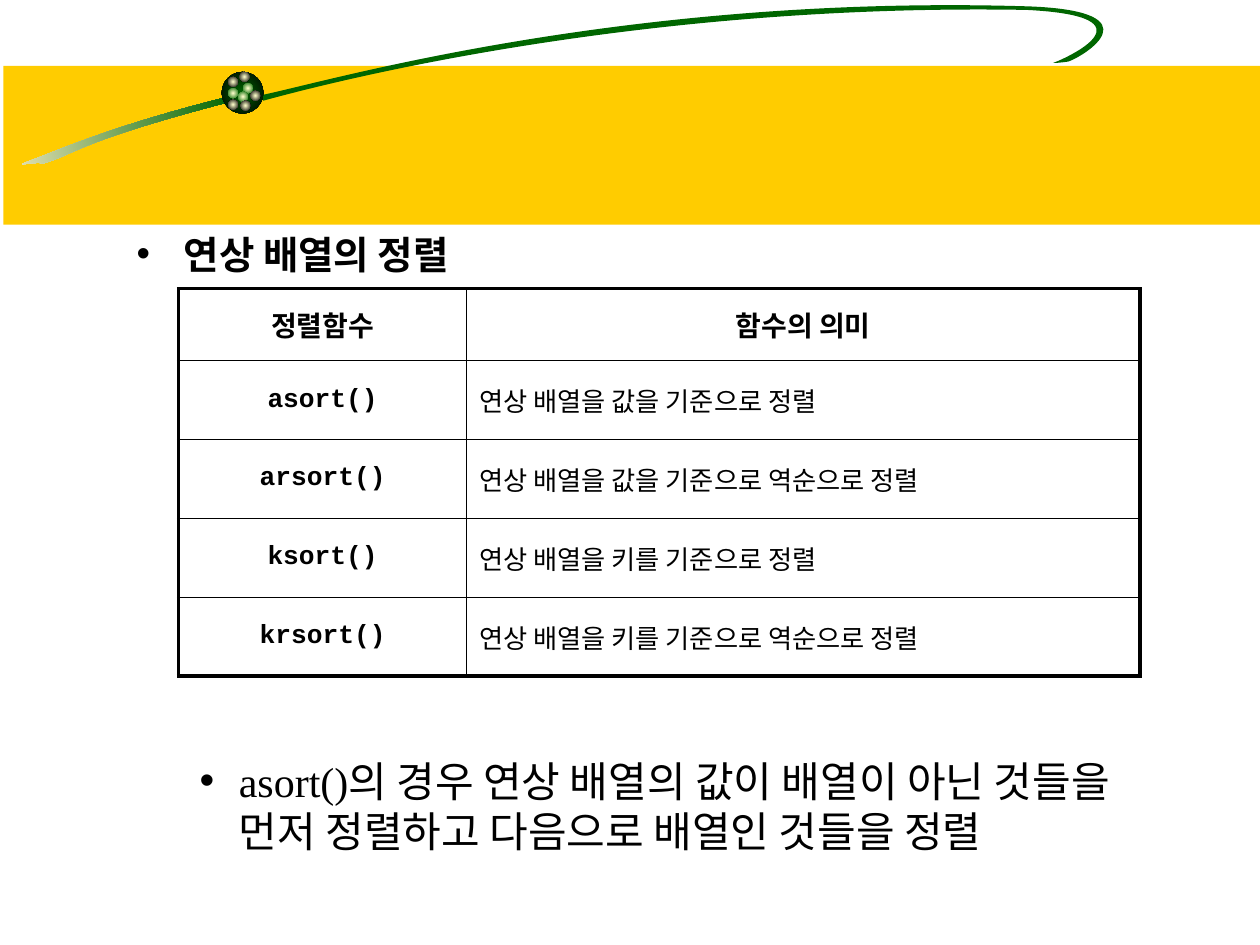
from dataclasses import dataclass
from math import cos, radians, sin
from lxml.etree import SubElement
from pptx import Presentation
from pptx.dml.color import RGBColor
from pptx.enum.shapes import MSO_SHAPE
from pptx.enum.text import MSO_ANCHOR, MSO_AUTO_SIZE, PP_ALIGN
from pptx.oxml import parse_xml
from pptx.oxml.ns import nsdecls, qn
from pptx.util import Cm, Pt

BLACK, WHITE, GREEN, CREAM, GOLD = "000000", "FFFFFF", "006600", "FFFFCC", "FFCC00"
SERIF, MONO = "Times New Roman", "Courier New"
TILT = 9


@dataclass
class Bead:
    x: float
    y: float
    rim: str = BLACK
    core: str = CREAM
    size: float = 0.2


@dataclass
class Curve:
    box: tuple
    start: tuple
    bends: list


BEADS = [
    Bead(4.47, 1.45, core=GREEN, size=0.84),
    Bead(4.9, 1.68, GREEN), Bead(4.6, 1.55), Bead(4.6, 1.78, GREEN),
    Bead(4.8, 1.85, GREEN), Bead(5.05, 1.83), Bead(4.85, 2.03),
    Bead(4.6, 2.01), Bead(4.83, 1.45),
]
TAIL = Curve((0, 2.31, 4.67, 0.76), (4.57, 1.96), [
    ((2.36, 2.51), (1.32, 2.97), (0.71, 3.2)),
    ((0.08, 3.43), (0.74, 3.23), (0.86, 3.3)),
    ((1.5, 3.12), (1.52, 2.87), (4.6, 2.06)),
    ((4.6, 2.06), (4.57, 1.96), (4.57, 1.96)),
])
SWOOSH = Curve((5.18, -0.38), (5.21, 1.93), [
    ((6.32, 1.73), (12.42, -0.13), (20.75, 0.13)),
    ((23.34, 0.23), (21.84, 1.14), (21.54, 1.24)),
    ((21.54, 1.24), (21.36, 1.27), (21.23, 1.27)),
    ((21.51, 1.17), (23.34, 0.33), (20.7, 0.2)),
    ((13.97, 0.08), (8.2, 1.24), (5.31, 2.03)),
    ((5.31, 2.03), (5.21, 1.93), (5.21, 1.93)),
])
SWOOSH.box += (18.19, 2.77)
ROWS = [
    ("정렬함수", "함수의 의미"),
    ("asort()", "연상 배열을 값을 기준으로 정렬"),
    ("arsort()", "연상 배열을 값을 기준으로 역순으로 정렬"),
    ("ksort()", "연상 배열을 키를 기준으로 정렬"),
    ("krsort()", "연상 배열을 키를 기준으로 역순으로 정렬"),
]


def color(code: str) -> RGBColor:
    """Turn a hex string into a colour."""
    return RGBColor.from_string(code)


def write(para, text: str, size=15, font=SERIF, bold=False, align=PP_ALIGN.LEFT,
          level=0, before=0, left=None, hang=0.0) -> None:
    """Fill a paragraph; a left indent gives it a bullet."""
    para.alignment, para.level, para.space_before = align, level, Pt(before)
    run = para.add_run()
    run.text = text
    run.font.size, run.font.name, run.font.bold = Pt(size), font, bold
    run.font.color.rgb = color(BLACK)
    if left is not None:
        props = para._p.get_or_add_pPr()
        props.set("marL", str(Cm(left)))
        props.set("indent", str(-Cm(hang)))
        SubElement(props, qn("a:buChar")).set("char", "•")


def paint(shape, code: str) -> None:
    """Give a shape a plain fill without line or shadow."""
    shape.shadow.inherit = False
    shape.line.fill.background()
    shape.fill.solid()
    shape.fill.fore_color.rgb = color(code)


def blend(shape, first: str, last: str, round: bool = False) -> None:
    """Replace a plain fill by a linear or circular gradient."""
    paint(shape, first)
    way = ('<a:path path="circle"><a:fillToRect l="50000" t="50000" r="50000" '
           'b="50000"/></a:path>' if round else '<a:lin ang="0" scaled="1"/>')
    stops = "".join(f'<a:gs pos="{pos}"><a:srgbClr val="{code}"/></a:gs>'
                    for pos, code in ((0, first), (100000, last)))
    props = shape._element.spPr
    props.replace(props.find(qn("a:solidFill")), parse_xml(
        f'<a:gradFill {nsdecls("a")} rotWithShape="1"><a:gsLst>{stops}</a:gsLst>{way}</a:gradFill>'))


def block(slide, kind, x: float, y: float, wide: float, high: float):
    """Add a preset shape."""
    return slide.shapes.add_shape(kind, Cm(x), Cm(y), Cm(wide), Cm(high))


def trace(slide, curve: Curve):
    """Draw a closed outline of cubic bends in a tilted frame."""
    x, y, wide, high = curve.box
    c, s = cos(radians(TILT)), sin(radians(TILT))

    def spot(point: tuple) -> str:
        """Place a slide point inside the frame."""
        a, b = point[0] - x - wide / 2, point[1] - y - high / 2
        return (f'<a:pt x="{Cm(a * c - b * s + wide / 2)}" '
                f'y="{Cm(a * s + b * c + high / 2)}"/>')

    pen = slide.shapes.build_freeform(0, 0)
    pen.add_line_segments([(Cm(wide), Cm(high))])
    shape = pen.convert_to_shape()
    shape.left, shape.top, shape.width, shape.height = map(Cm, curve.box)
    shape.rotation = -TILT
    bends = "".join(f'<a:cubicBezTo>{"".join(map(spot, bend))}</a:cubicBezTo>'
                    for bend in curve.bends)
    paths = shape._element.spPr.find(f'{qn("a:custGeom")}/{qn("a:pathLst")}')
    paths.replace(paths[0], parse_xml(
        f'<a:path {nsdecls("a")} w="{Cm(wide)}" h="{Cm(high)}"><a:moveTo>{spot(curve.start)}'
        f'</a:moveTo>{bends}<a:close/></a:path>'))
    return shape


def frame(cell, row: int, col: int) -> None:
    """Rule a cell, thick along the table's outer edge."""
    props = cell._tc.get_or_add_tcPr()
    edges = {"L": col == 0, "R": col == 1, "T": row == 0, "B": row == len(ROWS) - 1}
    for side, outer in edges.items():
        props.append(parse_xml(
            f'<a:ln{side} {nsdecls("a")} w="{Pt(2.25 if outer else 1)}"><a:solidFill>'
            f'<a:srgbClr val="{BLACK}"/></a:solidFill></a:ln{side}>'))
    cell.fill.background()


def grid(slide) -> None:
    """Add the table of sorting functions."""
    table = slide.shapes.add_table(len(ROWS), 2, Cm(3.6), Cm(5.82), Cm(19.38), Cm(7.8)).table
    table.first_row = table.horz_banding = False
    table.columns[0].width, table.columns[1].width = Cm(5.81), Cm(13.57)
    for row, texts in enumerate(ROWS):
        head = row == 0
        table.rows[row].height = Cm(1.45 if head else 1.59)
        for col, text in enumerate(texts):
            cell = table.cell(row, col)
            cell.vertical_anchor = MSO_ANCHOR.MIDDLE
            frame(cell, row, col)
            name = col == 0
            write(cell.text_frame.paragraphs[0], text, size=16 if head else 15,
                  font=MONO if name and not head else SERIF, bold=head or name,
                  align=PP_ALIGN.CENTER if head or name else PP_ALIGN.LEFT)


def main() -> None:
    """Build and save the slide."""
    deck = Presentation()
    deck.slide_width, deck.slide_height = Cm(25.4), Cm(19.05)
    slide = deck.slides.add_slide(deck.slide_layouts[1])
    body, title = slide.placeholders[1], slide.shapes.title._element
    title.getparent().remove(title)

    paint(block(slide, MSO_SHAPE.RECTANGLE, 0.07, 1.33, 25.4, 3.2), GOLD)
    blend(trace(slide, TAIL), "F5EBC1", GREEN)
    paint(trace(slide, SWOOSH), GREEN)
    for bead in BEADS:
        ball = block(slide, MSO_SHAPE.OVAL, bead.x, bead.y, bead.size, bead.size)
        blend(ball, bead.core, bead.rim, round=True)
    veil = block(slide, MSO_SHAPE.RECTANGLE, 1.96, 5.23, 3.1, 13.82)
    paint(veil, WHITE)
    tint = veil._element.spPr.find(f'{qn("a:solidFill")}/{qn("a:srgbClr")}')
    SubElement(tint, qn("a:alpha")).set("val", "50000")

    slide.shapes._spTree.append(body._element)
    body.left, body.top, body.width, body.height = Cm(2.5), Cm(4.52), Cm(21.59), Cm(13.54)
    text = body.text_frame
    text.auto_size = MSO_AUTO_SIZE.NONE
    write(text.paragraphs[0], "연상 배열의 정렬", size=22, bold=True, left=0.95, hang=0.95)
    write(text.add_paragraph(),
          "asort()의 경우 연상 배열의 값이 배열이 아닌 것들을 먼저 정렬하고 다음으로 배열인 것들을 정렬",
          size=24, level=1, before=273.4, left=2.06, hang=0.79)
    grid(slide)
    deck.save("out.pptx")


main()
